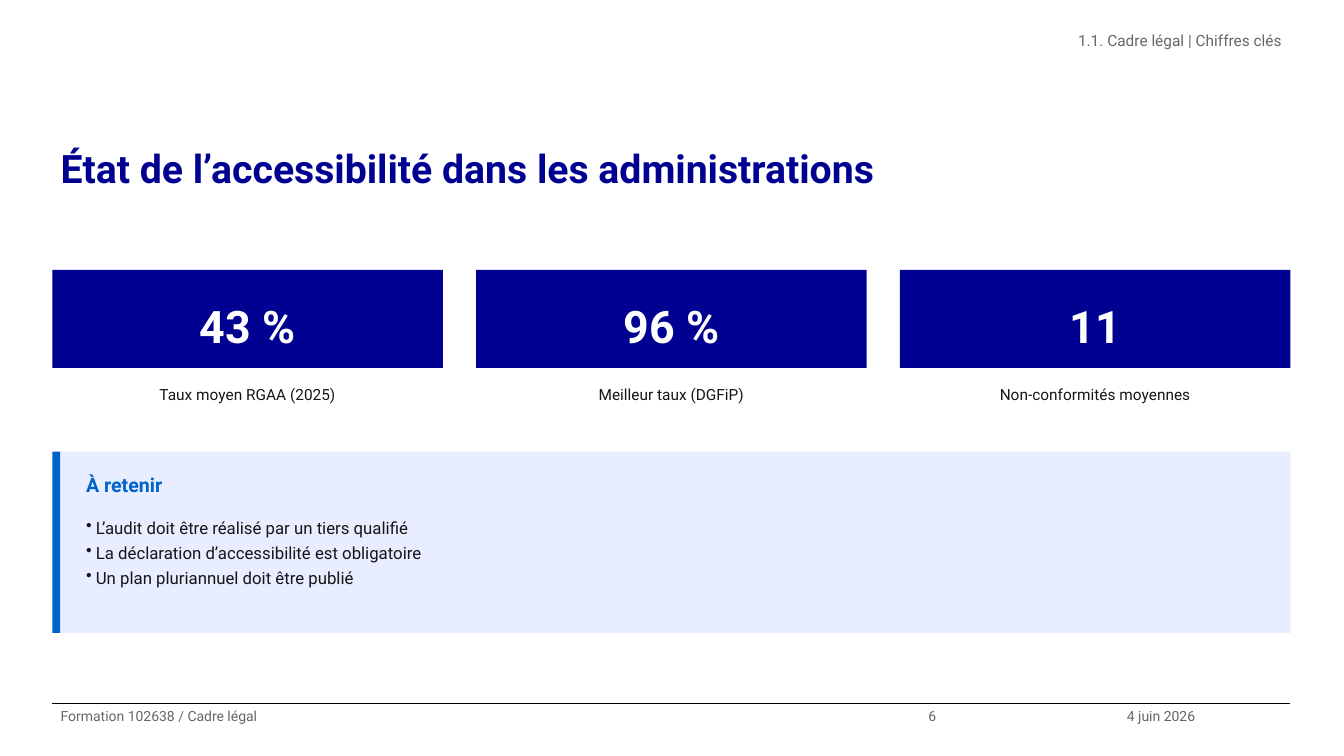
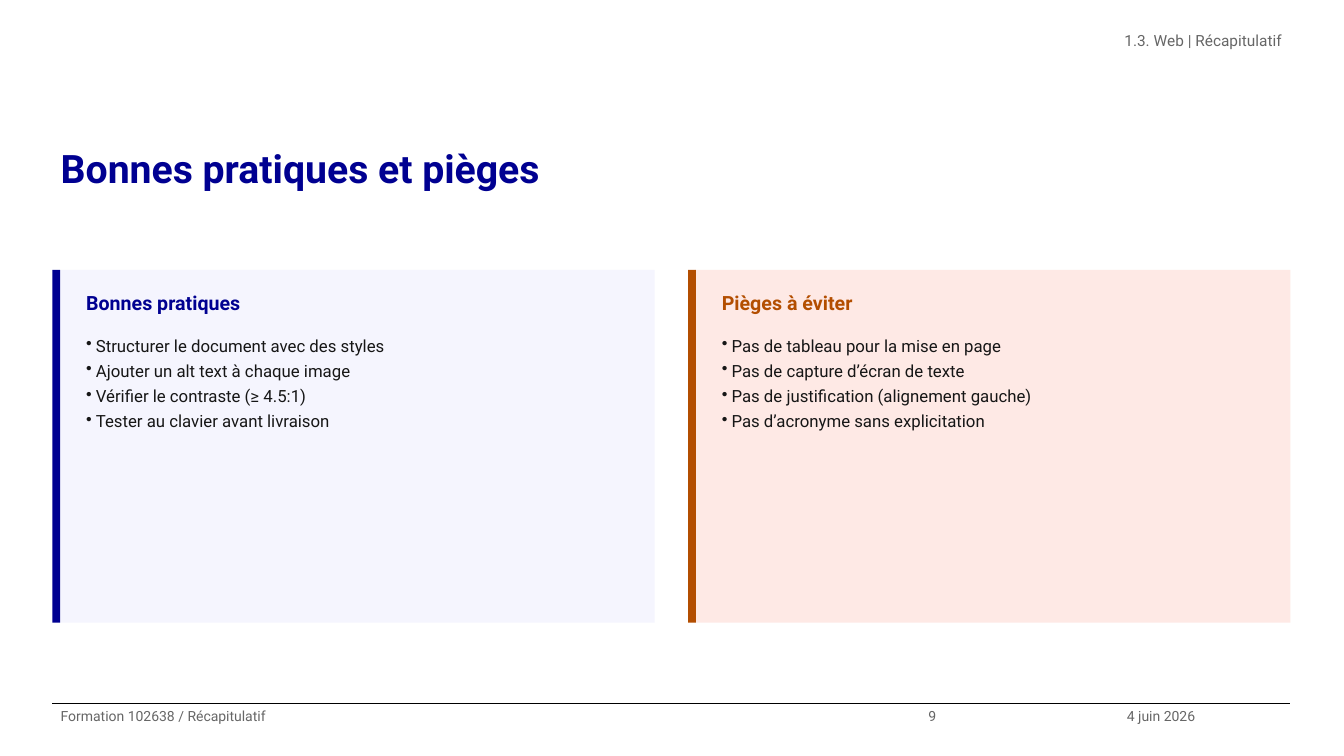
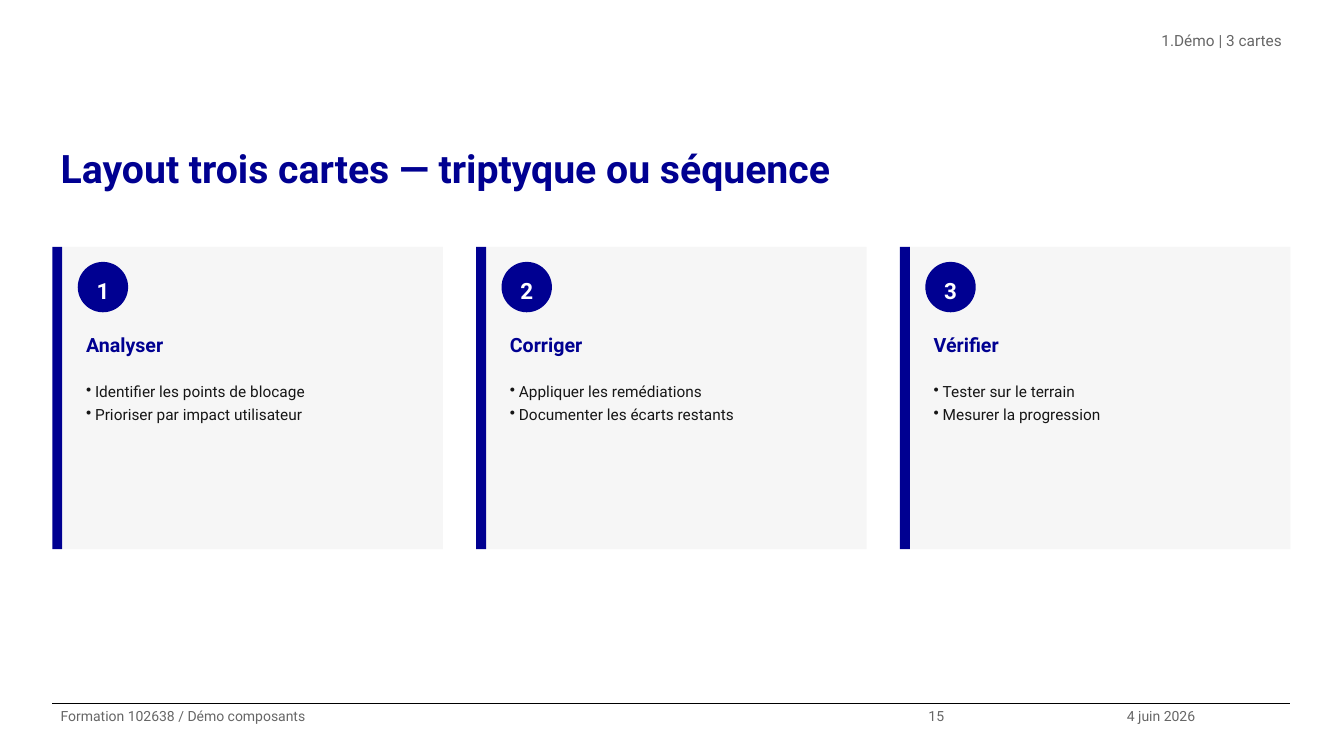
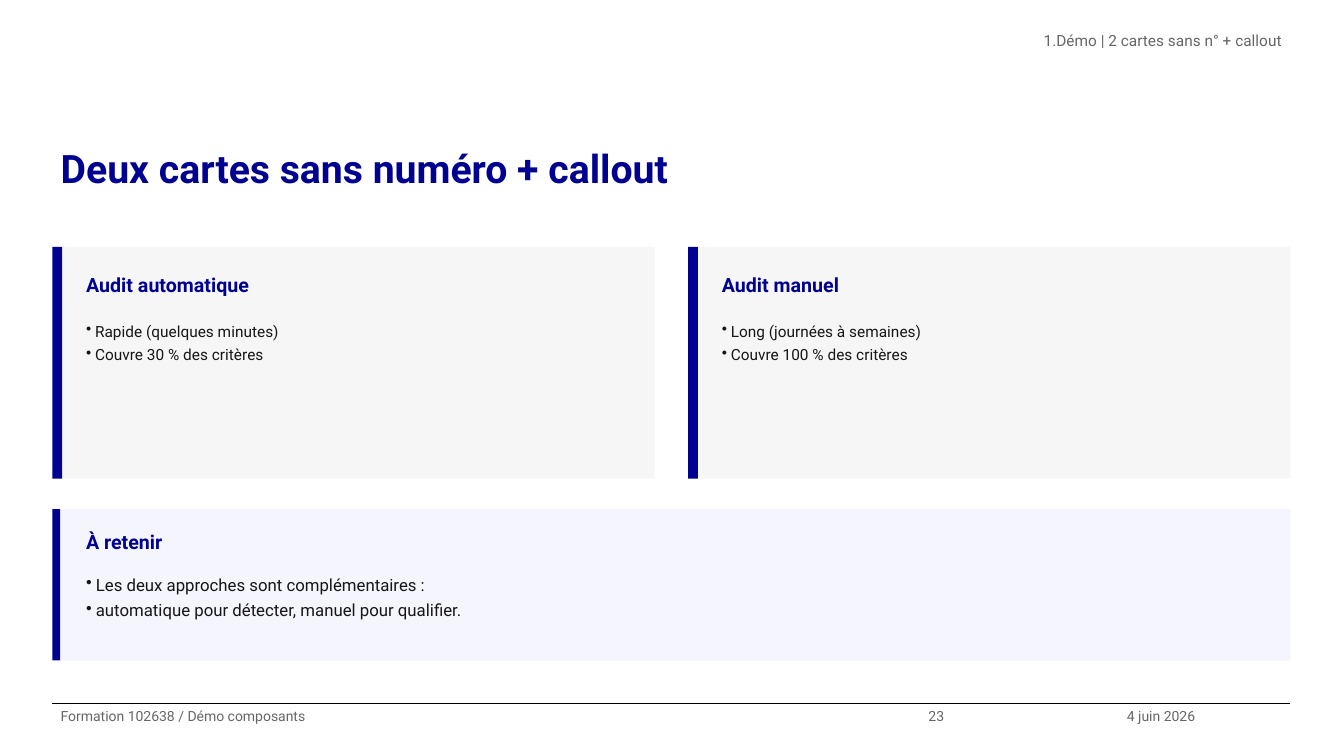
from dataclasses import dataclass

from lxml import etree
from pptx import Presentation
from pptx.dml.color import RGBColor
from pptx.enum.shapes import MSO_CONNECTOR, MSO_SHAPE
from pptx.enum.text import MSO_ANCHOR, PP_ALIGN
from pptx.oxml.ns import qn
from pptx.util import Cm, Pt

RECTANGLE, OVAL = MSO_SHAPE.RECTANGLE, MSO_SHAPE.OVAL
STRAIGHT = MSO_CONNECTOR.STRAIGHT
TOP, MIDDLE = MSO_ANCHOR.TOP, MSO_ANCHOR.MIDDLE
LEFT, CENTER, RIGHT = PP_ALIGN.LEFT, PP_ALIGN.CENTER, PP_ALIGN.RIGHT

# Shared look
FONT = "Roboto"
LINE_SPACING = 1.25
NAVY, BLUE, RUST = "000091", "0063CB", "B34E00"
PALE_NAVY, PALE_BLUE, PALE_RUST = "F5F5FE", "E8EDFF", "FEE9E5"
WHITE, BLACK, INK, GREY, PALE_GREY = "FFFFFF", "000000", "161616", "666666", "F6F6F6"

# Shared grid, in centimetres
SLIDE_WIDTH, SLIDE_HEIGHT = 33.87, 19.05
MARGIN = 1.32
CONTENT_WIDTH = 31.2
GUTTER = 0.84
FOOTER_TOP = 17.73
CARDS_TOP = 6.22
BLOCKS_TOP = 6.8
TEXT_INDENT = 0.64
BADGE_SIZE = 1.27
BADGE_STEP = 1.52


@dataclass
class PanelStyle:
    bar: float
    padding: float
    right_padding: float
    heading_height: float
    body_size: int


CALLOUT = PanelStyle(0.2, 0.25, 0.25, 1.02, 12)
CARD = PanelStyle(0.25, 0.38, 0.38, 1.14, 11)


def color(hex_code):
    return RGBColor.from_string(hex_code)


def columns(count):
    """Return the (left, width) pairs of equal columns."""
    width = (CONTENT_WIDTH - GUTTER * (count - 1)) / count
    return [(MARGIN + i * (width + GUTTER), width) for i in range(count)]


def add_bullet(paragraph, size):
    """Set a bullet whose hanging indent follows the text size."""
    indent = Cm(0.0206 * size)
    properties = paragraph._p.get_or_add_pPr()
    properties.set("marL", str(indent))
    properties.set("indent", str(-indent))
    etree.SubElement(properties, qn("a:buChar")).set("char", "•")


def fill_text(shape, lines, size, hex_code, bold=False, align=LEFT,
              anchor=TOP, inset=0.13, bullets=False):
    frame = shape.text_frame
    frame.word_wrap = True
    frame.vertical_anchor = anchor
    frame.margin_left = frame.margin_right = Cm(0.21)
    frame.margin_top = frame.margin_bottom = Cm(inset)
    for index, line in enumerate(lines):
        paragraph = frame.paragraphs[0] if index == 0 else frame.add_paragraph()
        paragraph.alignment = align
        paragraph.line_spacing = LINE_SPACING
        if bullets:
            add_bullet(paragraph, size)
        run = paragraph.add_run()
        run.text = line
        run.font.name = FONT
        run.font.size = Pt(size)
        run.font.bold = bold
        run.font.color.rgb = color(hex_code)


def add_text(slide, left, top, width, height, lines, size, hex_code, **options):
    box = slide.shapes.add_textbox(Cm(left), Cm(top), Cm(width), Cm(height))
    fill_text(box, lines, size, hex_code, **options)


def add_block(slide, kind, left, top, width, height, hex_code):
    shape = slide.shapes.add_shape(kind, Cm(left), Cm(top), Cm(width), Cm(height))
    shape.shadow.inherit = False
    shape.fill.solid()
    shape.fill.fore_color.rgb = color(hex_code)
    shape.line.fill.background()
    return shape


def add_rule(slide):
    rule = slide.shapes.add_connector(
        STRAIGHT, Cm(MARGIN), Cm(FOOTER_TOP),
        Cm(MARGIN + CONTENT_WIDTH), Cm(FOOTER_TOP))
    rule.line.color.rgb = color(BLACK)
    rule.line.width = Pt(0.8)
    etree.SubElement(rule._element.spPr, qn("a:effectLst"))


def add_page(presentation, title, section, chapter, number):
    """Add a slide with its title, section mark and footer."""
    slide = presentation.slides.add_slide(presentation.slide_layouts[6])
    add_rule(slide)
    add_text(slide, MARGIN, 3.33, CONTENT_WIDTH, 2.67, [title], 28, NAVY,
             bold=True, inset=0)
    add_text(slide, 12.27, 0.66, 20.25, 1.32, [section], 11, GREY,
             align=RIGHT, inset=0)
    footer = [(MARGIN, 21.87, f"Formation 102638 / {chapter}"),
              (23.19, 5, str(number)),
              (28.19, 4.33, "4 juin 2026")]
    for left, width, text in footer:
        add_text(slide, left, FOOTER_TOP, width, 1.32, [text], 10, GREY, inset=0)
    return slide


def add_key_figure(slide, left, top, width, value, label):
    block = add_block(slide, RECTANGLE, left, top, width, 2.47, NAVY)
    fill_text(block, [value], 32, WHITE, bold=True, align=CENTER, anchor=MIDDLE)
    add_text(slide, left, top + 2.67, width, 1.14, [label], 11, INK, align=CENTER)


def add_panel(slide, style, left, top, width, height, accent, background,
              heading, items, number=None):
    """Add a tinted panel with a side bar, a heading and a bullet list."""
    add_block(slide, RECTANGLE, left + style.bar, top, width - style.bar, height,
              background)
    add_block(slide, RECTANGLE, left, top, style.bar, height, accent)
    text_left = left + TEXT_INDENT
    text_width = width - TEXT_INDENT - style.right_padding
    text_top = top + style.padding
    if number is not None:
        badge = add_block(slide, OVAL, text_left, text_top, BADGE_SIZE, BADGE_SIZE,
                          accent)
        fill_text(badge, [str(number)], 16, WHITE, bold=True, align=CENTER,
                  anchor=MIDDLE)
        text_top += BADGE_STEP
    add_text(slide, text_left, text_top, text_width, style.heading_height,
             [heading], 14, accent, bold=True)
    body_top = text_top + style.heading_height + 0.13
    add_text(slide, text_left, body_top, text_width,
             top + height - style.padding - body_top, items, style.body_size, INK,
             bullets=True)


def build_key_figures(presentation):
    slide = add_page(presentation, "État de l’accessibilité dans les administrations",
                     "1.1. Cadre légal | Chiffres clés", "Cadre légal", 6)
    figures = [("43 %", "Taux moyen RGAA (2025)"),
               ("96 %", "Meilleur taux (DGFiP)"),
               ("11", "Non-conformités moyennes")]
    for (left, width), (value, label) in zip(columns(3), figures):
        add_key_figure(slide, left, BLOCKS_TOP, width, value, label)
    add_panel(slide, CALLOUT, MARGIN, 11.38, CONTENT_WIDTH, 4.57, BLUE, PALE_BLUE,
              "À retenir", ["L’audit doit être réalisé par un tiers qualifié",
                            "La déclaration d’accessibilité est obligatoire",
                            "Un plan pluriannuel doit être publié"])


def build_practices(presentation):
    slide = add_page(presentation, "Bonnes pratiques et pièges",
                     "1.3. Web | Récapitulatif", "Récapitulatif", 9)
    panels = [(NAVY, PALE_NAVY, "Bonnes pratiques",
               ["Structurer le document avec des styles",
                "Ajouter un alt text à chaque image",
                "Vérifier le contraste (≥ 4.5:1)",
                "Tester au clavier avant livraison"]),
              (RUST, PALE_RUST, "Pièges à éviter",
               ["Pas de tableau pour la mise en page",
                "Pas de capture d’écran de texte",
                "Pas de justification (alignement gauche)",
                "Pas d’acronyme sans explicitation"])]
    for (left, width), panel in zip(columns(2), panels):
        add_panel(slide, CALLOUT, left, BLOCKS_TOP, width, 8.89, *panel)


def build_three_cards(presentation):
    slide = add_page(presentation, "Layout trois cartes — triptyque ou séquence",
                     "1.Démo | 3 cartes", "Démo composants", 15)
    cards = [("Analyser", ["Identifier les points de blocage",
                           "Prioriser par impact utilisateur"]),
             ("Corriger", ["Appliquer les remédiations",
                           "Documenter les écarts restants"]),
             ("Vérifier", ["Tester sur le terrain", "Mesurer la progression"])]
    for number, ((left, width), card) in enumerate(zip(columns(3), cards), 1):
        add_panel(slide, CARD, left, CARDS_TOP, width, 7.62, NAVY, PALE_GREY, *card,
                  number=number)


def build_two_cards(presentation):
    slide = add_page(presentation, "Deux cartes sans numéro + callout",
                     "1.Démo | 2 cartes sans n° + callout", "Démo composants", 23)
    cards = [("Audit automatique", ["Rapide (quelques minutes)",
                                    "Couvre 30 % des critères"]),
             ("Audit manuel", ["Long (journées à semaines)",
                               "Couvre 100 % des critères"])]
    for (left, width), card in zip(columns(2), cards):
        add_panel(slide, CARD, left, CARDS_TOP, width, 5.84, NAVY, PALE_GREY, *card)
    add_panel(slide, CALLOUT, MARGIN, 12.83, CONTENT_WIDTH, 3.81, NAVY, PALE_NAVY,
              "À retenir", ["Les deux approches sont complémentaires :",
                            "automatique pour détecter, manuel pour qualifier."])


def main():
    presentation = Presentation()
    presentation.slide_width = Cm(SLIDE_WIDTH)
    presentation.slide_height = Cm(SLIDE_HEIGHT)
    build_key_figures(presentation)
    build_practices(presentation)
    build_three_cards(presentation)
    build_two_cards(presentation)
    presentation.save("out.pptx")


if __name__ == "__main__":
    main()
